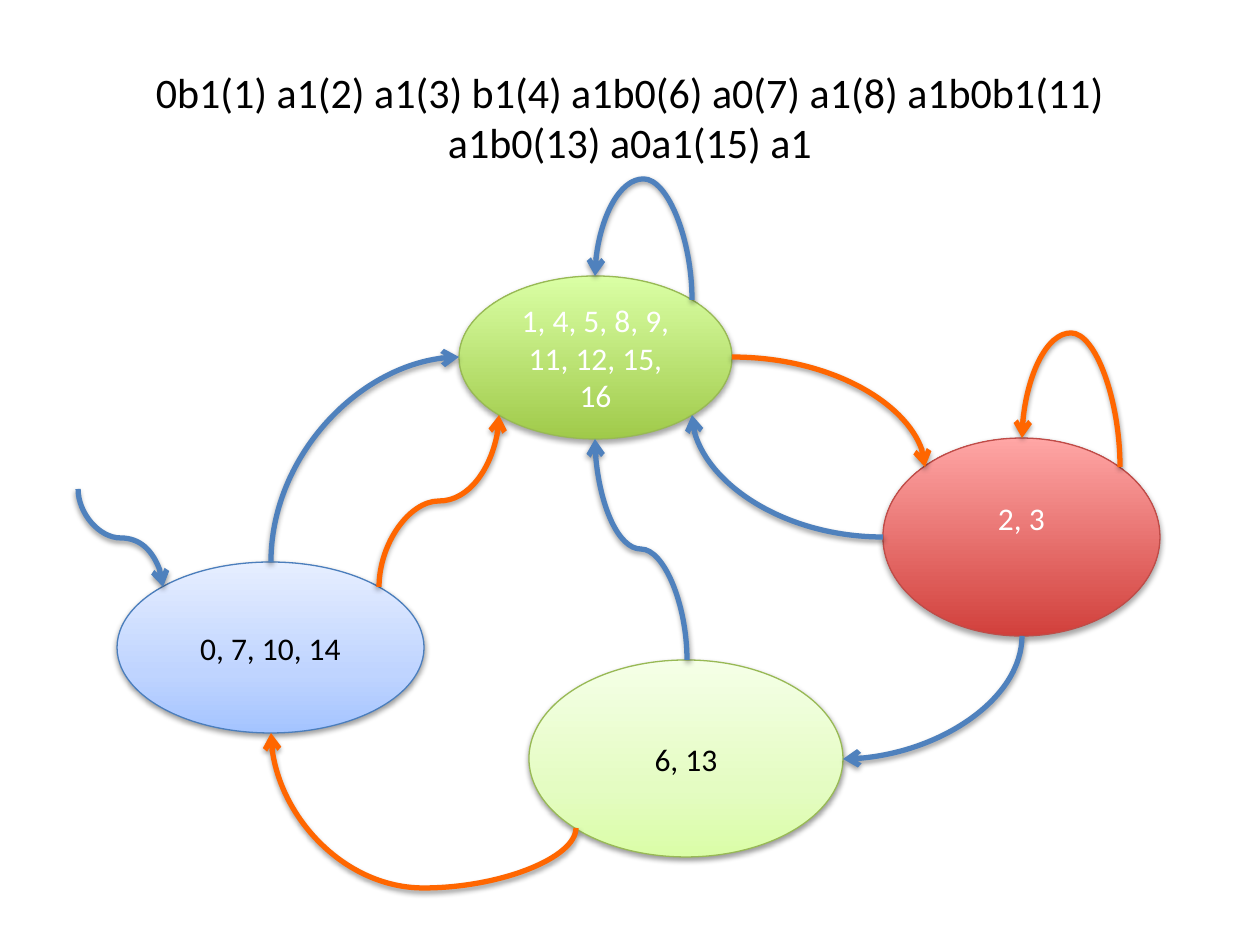
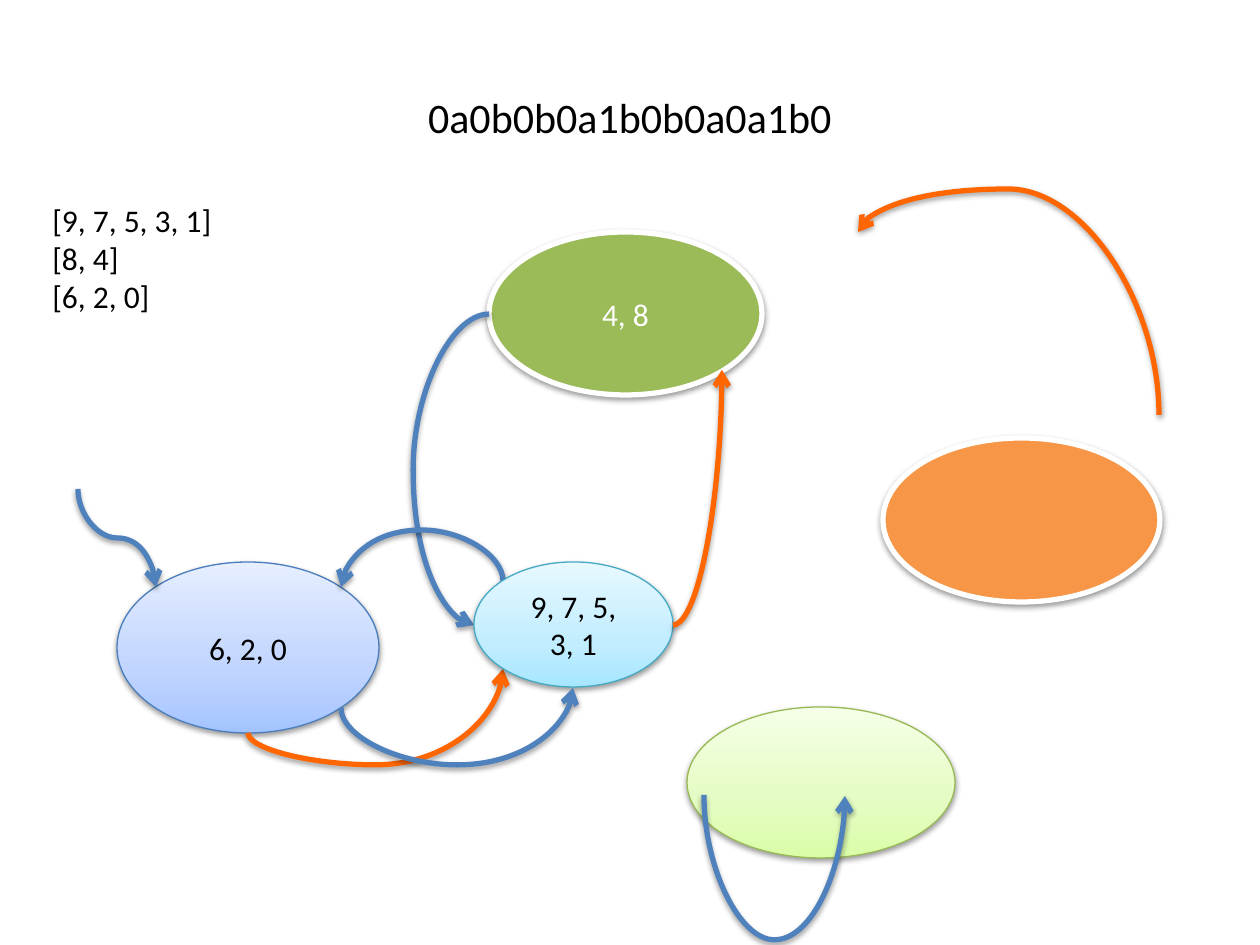
"""Build two slides of state diagrams with curved transitions."""
import pptx
import pptx.dml.color
import pptx.enum.shapes
import pptx.enum.text
import pptx.oxml.ns
import pptx.util
from lxml import etree

RGB = pptx.dml.color.RGBColor
ALIGN = pptx.enum.text.PP_ALIGN
MIDDLE = pptx.enum.text.MSO_ANCHOR.MIDDLE
qn = pptx.oxml.ns.qn

SCALE = 914400 / 126
FONT = "Calibri"
BLACK = RGB(0x00, 0x00, 0x00)
WHITE = RGB(0xFF, 0xFF, 0xFF)
BLUE = RGB(0x4F, 0x81, 0xBD)
ORANGE = RGB(0xFF, 0x66, 0x00)
GREEN = RGB(0x9B, 0xBB, 0x59)
AMBER = RGB(0xF7, 0x96, 0x46)
BLUE_EDGE = RGB(0x4B, 0x7E, 0xBC)
GREEN_EDGE = RGB(0x98, 0xB9, 0x55)
RED_EDGE = RGB(0xBF, 0x4C, 0x48)
CYAN_EDGE = RGB(0x46, 0xAA, 0xC5)

PALE_BLUE = ((0, RGB(0xA4, 0xC4, 0xFF)), (35, RGB(0xBF, 0xD4, 0xFF)),
             (100, RGB(0xE6, 0xEE, 0xFF)))
PALE_GREEN = ((0, RGB(0xDA, 0xFD, 0xA7)), (35, RGB(0xE4, 0xFC, 0xC2)),
              (100, RGB(0xF5, 0xFF, 0xE7)))
PALE_CYAN = ((0, RGB(0xA7, 0xE6, 0xFF)), (35, RGB(0xC1, 0xED, 0xFF)),
             (100, RGB(0xE7, 0xF8, 0xFF)))
STRONG_GREEN = ((0, RGB(0xA0, 0xCA, 0x4A)), (100, RGB(0xDA, 0xFF, 0xA5)))
STRONG_RED = ((0, RGB(0xD1, 0x40, 0x3C)), (100, RGB(0xFF, 0xA6, 0xA5)))


def px(n):
    """Turn picture pixels into EMU."""
    return pptx.util.Emu(round(n * SCALE))


def write(tf, text, size=18, color=BLACK, align=ALIGN.CENTER):
    """Write one paragraph per line of text in one format."""
    for i, line in enumerate(text.split("\n")):
        p = tf.add_paragraph() if i else tf.paragraphs[0]
        p.alignment = align
        r = p.add_run()
        r.text = line
        r.font.size = pptx.util.Pt(size)
        r.font.name = FONT
        r.font.color.rgb = color


def add_shadow(effects, alpha=38, dist=20000):
    """Put a soft downward shadow into an effect list."""
    shadow = etree.SubElement(effects, qn("a:outerShdw"), blurRad="40000",
                              dist=str(dist), dir="5400000", rotWithShape="0")
    clr = etree.SubElement(shadow, qn("a:srgbClr"), val=str(BLACK))
    etree.SubElement(clr, qn("a:alpha"), val=str(alpha * 1000))


def fill_gradient(sp, stops):
    """Fill a shape with colour stops running from bottom to top."""
    sp.fill.gradient()
    sp.fill.gradient_angle = 90
    gs_list = sp._element.spPr.find(qn("a:gradFill")).find(qn("a:gsLst"))
    for gs in list(gs_list):
        gs_list.remove(gs)
    for pos, color in stops:
        gs = etree.SubElement(gs_list, qn("a:gs"), pos=str(pos * 1000))
        etree.SubElement(gs, qn("a:srgbClr"), val=str(color))


def add_state(s, box, fill, edge=WHITE, text="", color=BLACK, lift=0):
    """Draw a state ellipse; lift raises its text by a bottom inset."""
    sp = s.shapes.add_shape(pptx.enum.shapes.MSO_SHAPE.OVAL, *map(px, box))
    gradient = isinstance(fill[0], tuple)
    if gradient:
        fill_gradient(sp, fill)
    else:
        sp.fill.solid()
        sp.fill.fore_color.rgb = fill
    sp.line.color.rgb = edge
    sp.line.width = pptx.util.Pt(0.75 if gradient else 3)
    sp.shadow.inherit = False
    effects = sp._element.spPr.find(qn("a:effectLst"))
    if fill in (STRONG_GREEN, STRONG_RED):
        add_shadow(effects, 35, 23000)
    else:
        add_shadow(effects)
    tf = sp.text_frame
    tf.word_wrap = True
    tf.vertical_anchor = MIDDLE
    tf.margin_bottom += px(lift)
    if text:
        write(tf, text, color=color)


def add_curve(s, start, end, bend=None, color=BLUE, across=False):
    """Draw a curved arrow leaving vertically, or horizontally if across."""
    (x1, y1), (x2, y2) = start, end
    dx, dy = x2 - x1, y2 - y1
    if across:
        w, h = abs(dx), abs(dy)
        rot = 0 if dx > 0 else 180
        flip_h, flip_v = False, (dy < 0) == (dx > 0)
    else:
        w, h = abs(dy), abs(dx)
        rot = 270 if dx * dy > 0 else 90
        flip_h = (dy > 0) == (rot == 270)
        flip_v = (dx < 0) == (rot == 270)
    left, top = (x1 + x2 - w) / 2, (y1 + y2 - h) / 2
    c = s.shapes.add_connector(pptx.enum.shapes.MSO_CONNECTOR.CURVE, px(left),
                               px(top), px(left + w), px(top + h))
    c.line.color.rgb = color
    c.line.width = pptx.util.Pt(3)
    spPr = c._element.spPr
    xfrm = spPr.find(qn("a:xfrm"))
    xfrm.set("rot", str(rot * 60000))
    xfrm.set("flipH", str(int(flip_h)))
    xfrm.set("flipV", str(int(flip_v)))
    geom = spPr.find(qn("a:prstGeom"))
    if bend is None:
        geom.set("prst", "curvedConnector2")
    else:
        adj = (bend - x1) / dx if across else (bend - y1) / dy
        etree.SubElement(geom.find(qn("a:avLst")), qn("a:gd"), name="adj1",
                         fmla=f"val {round(adj * 100000)}")
    etree.SubElement(spPr.find(qn("a:ln")), qn("a:tailEnd"), type="arrow")
    add_shadow(etree.SubElement(spPr, qn("a:effectLst")))


def add_titled_slide(prs, title):
    """Add a title-only slide with the shared title format."""
    s = prs.slides.add_slide(prs.slide_layouts[5])
    sp = s.shapes.title
    sp.left, sp.top, sp.width, sp.height = map(px, (63, 38, 1134, 157))
    sp.text_frame.vertical_anchor = MIDDLE
    write(sp.text_frame, title, size=24)
    return s


def add_list(s, box, text):
    """Add a left-aligned text box."""
    tf = s.shapes.add_textbox(*map(px, box)).text_frame
    tf.word_wrap = True
    write(tf, text, align=ALIGN.LEFT)


def build_four_states(prs):
    """Build the slide with four connected states."""
    s = add_titled_slide(prs, "0b1(1) a1(2) a1(3) b1(4) a1b0(6) a0(7) a1(8) "
                              "a1b0b1(11) a1b0(13) a0a1(15) a1")
    add_state(s, (117, 562, 307, 171), PALE_BLUE, BLUE_EDGE, "0, 7, 10, 14")
    add_state(s, (459, 276, 273, 163), STRONG_GREEN, GREEN_EDGE,
              "1, 4, 5, 8, 9, 11, 12, 15, 16", WHITE)
    add_state(s, (883, 438, 277, 198), STRONG_RED, RED_EDGE, "2, 3", WHITE,
              lift=38)
    add_state(s, (529, 660, 314, 197), PALE_GREEN, GREEN_EDGE, "6, 13")
    add_curve(s, (1022, 636), (843, 759))
    add_curve(s, (78, 489), (163, 587), 538)
    add_curve(s, (271, 562), (459, 357))
    add_curve(s, (732, 357), (925, 467), color=ORANGE, across=True)
    add_curve(s, (1120, 467), (1022, 438), 333, ORANGE)
    add_curve(s, (883, 537), (692, 415), across=True)
    add_curve(s, (576, 828), (271, 733), 888, ORANGE)
    add_curve(s, (379, 587), (499, 415), 501, ORANGE)
    add_curve(s, (687, 660), (595, 439), 549)
    add_curve(s, (692, 300), (595, 276), 179)


def build_three_states(prs):
    """Build the slide with three connected states and two spare ones."""
    s = add_titled_slide(prs, "0a0b0b0a1b0b0a0a1b0")
    add_state(s, (117, 562, 262, 171), PALE_BLUE, BLUE_EDGE, "6, 2, 0")
    add_state(s, (489, 232, 273, 163), GREEN, text="4, 8", color=WHITE)
    add_state(s, (883, 438, 277, 164), AMBER)
    add_state(s, (687, 707, 268, 151), PALE_GREEN, GREEN_EDGE)
    add_curve(s, (489, 314), (474, 625), 413, across=True)
    add_curve(s, (503, 581), (341, 587), 530)
    add_curve(s, (248, 733), (503, 669), 765, ORANGE)
    add_curve(s, (1159, 415), (858, 232), 189, ORANGE)
    add_curve(s, (78, 489), (156, 587), 538)
    add_state(s, (474, 562, 199, 125), PALE_CYAN, CYAN_EDGE, "9, 7, 5, 3, 1")
    add_list(s, (40, 195, 275, 127), "[9, 7, 5, 3, 1]\n[8, 4]\n[6, 2, 0]")
    add_curve(s, (341, 708), (573, 688), 765)
    add_curve(s, (673, 625), (722, 370), color=ORANGE, across=True)
    add_curve(s, (704, 795), (845, 796), 941)


def main():
    """Build and save the presentation."""
    prs = pptx.Presentation()
    prs.slide_width, prs.slide_height = px(1260), px(945)
    build_four_states(prs)
    build_three_states(prs)
    prs.save("out.pptx")


main()
